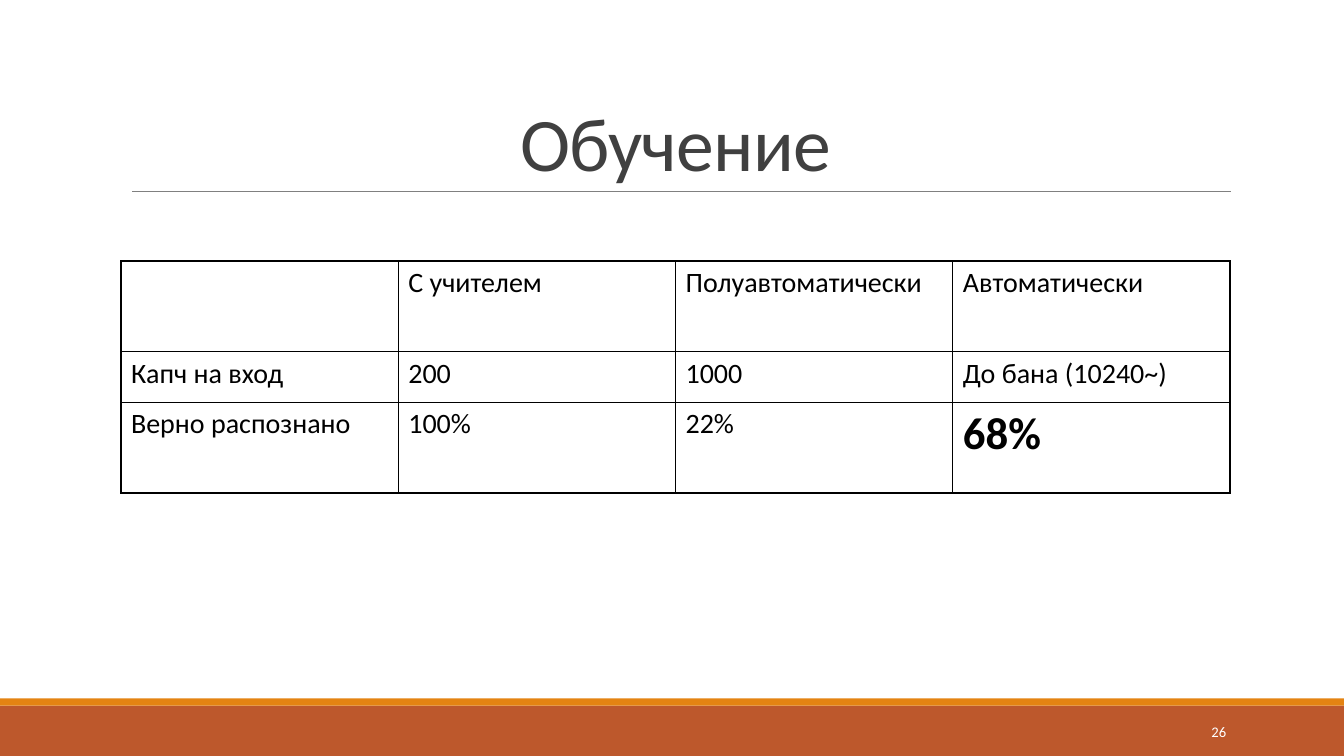
from dataclasses import dataclass

from lxml import etree
from pptx import Presentation
from pptx import util as u
from pptx.dml.color import RGBColor
from pptx.enum import shapes, text
from pptx.oxml import ns

COLORS = {
    "footer": "BD582C",
    "stripe": "E48312",
    "rule": "808080",
    "title": "404040",
    "ink": "000000",
    "page": "FFFFFF",
}
FONT = "Calibri"
BORDER_PT = 1
COL_WIDTH = 2.75
ROW_HEIGHTS = (0.9, 0.5, 0.9)


@dataclass(frozen=True)
class Band:
    top: float
    height: float
    color: str


@dataclass(frozen=True)
class Entry:
    text: str
    size: float = 20
    bold: bool = False


BANDS = (Band(7, 0.5, "footer"), Band(6.93, 0.07, "stripe"))
RESULTS = (
    (Entry(""), Entry("С учителем"), Entry("Полуавтоматически"), Entry("Автоматически")),
    (Entry("Капч на вход"), Entry("200"), Entry("1000"), Entry("До бана (10240~)")),
    (Entry("Верно распознано"), Entry("100%"), Entry("22%"), Entry("68%", 32, True)),
)


def rgb(name: str) -> RGBColor:
    return RGBColor.from_string(COLORS[name])


def add_run(p, entry: Entry, color: str):
    r = p.add_run()
    r.text = entry.text
    r.font.name = FONT
    r.font.size = u.Pt(entry.size)
    r.font.bold = entry.bold
    r.font.color.rgb = rgb(color)
    return r


def add_band(s, band: Band, width: int) -> None:
    sp = s.shapes.add_shape(shapes.MSO_SHAPE.RECTANGLE, 0, u.Inches(band.top),
                            width, u.Inches(band.height))
    sp.shadow.inherit = False
    sp.fill.solid()
    sp.fill.fore_color.rgb = rgb(band.color)
    sp.line.fill.background()


def add_rule(s) -> None:
    line = s.shapes.add_connector(shapes.MSO_CONNECTOR.STRAIGHT, u.Inches(1.31),
                                  u.Inches(1.9), u.Inches(12.21), u.Inches(1.9))
    line.line.color.rgb = rgb("rule")
    line.line.width = u.Pt(0.5)
    etree.SubElement(line._element.spPr, ns.qn("a:effectLst"))


def set_title(s) -> None:
    sp = s.shapes.title
    sp.left, sp.top = u.Inches(1.2), u.Inches(0.31)
    sp.width, sp.height = u.Inches(11), u.Inches(1.59)
    tf = sp.text_frame
    tf.auto_size = text.MSO_AUTO_SIZE.NONE
    tf.vertical_anchor = text.MSO_ANCHOR.BOTTOM
    p = tf.paragraphs[0]
    p.alignment = text.PP_ALIGN.CENTER
    p.line_spacing = 0.85
    r = add_run(p, Entry("Обучение", 54), "title")
    r.font._element.set("spc", "-50")


def set_borders(cell) -> None:
    props = cell._tc.get_or_add_tcPr()
    for i, side in enumerate(("lnL", "lnR", "lnT", "lnB")):
        ln = etree.Element(ns.qn(f"a:{side}"), w=str(u.Pt(BORDER_PT)))
        fill = etree.SubElement(ln, ns.qn("a:solidFill"))
        etree.SubElement(fill, ns.qn("a:srgbClr"), val=COLORS["ink"])
        props.insert(i, ln)


def add_results(s) -> None:
    columns = len(RESULTS[0])
    table = s.shapes.add_table(len(RESULTS), columns, u.Inches(1.2), u.Inches(2.59),
                               u.Inches(COL_WIDTH * columns),
                               u.Inches(sum(ROW_HEIGHTS))).table
    table.first_row = table.horz_banding = False
    for column in table.columns:
        column.width = u.Inches(COL_WIDTH)
    for row, height, entries in zip(table.rows, ROW_HEIGHTS, RESULTS):
        row.height = u.Inches(height)
        for cell, entry in zip(row.cells, entries):
            cell.fill.background()
            set_borders(cell)
            if entry.text:
                add_run(cell.text_frame.paragraphs[0], entry, "ink")


def add_page_number(s) -> None:
    sp = s.shapes.add_textbox(u.Inches(10.83), u.Inches(7.06), u.Inches(1.43), u.Inches(0.4))
    tf = sp.text_frame
    tf.word_wrap = True
    tf.vertical_anchor = text.MSO_ANCHOR.MIDDLE
    p = tf.paragraphs[0]
    p.alignment = text.PP_ALIGN.RIGHT
    add_run(p, Entry("26", 10.5), "page")


def main() -> None:
    """Build the training results slide."""
    prs = Presentation()
    prs.slide_width, prs.slide_height = u.Inches(13.33), u.Inches(7.5)
    s = prs.slides.add_slide(prs.slide_layouts[5])
    s.background.fill.solid()
    s.background.fill.fore_color.rgb = rgb("page")
    for band in BANDS:
        add_band(s, band, prs.slide_width)
    add_rule(s)
    set_title(s)
    add_results(s)
    add_page_number(s)
    prs.save("out.pptx")


if __name__ == "__main__":
    main()
